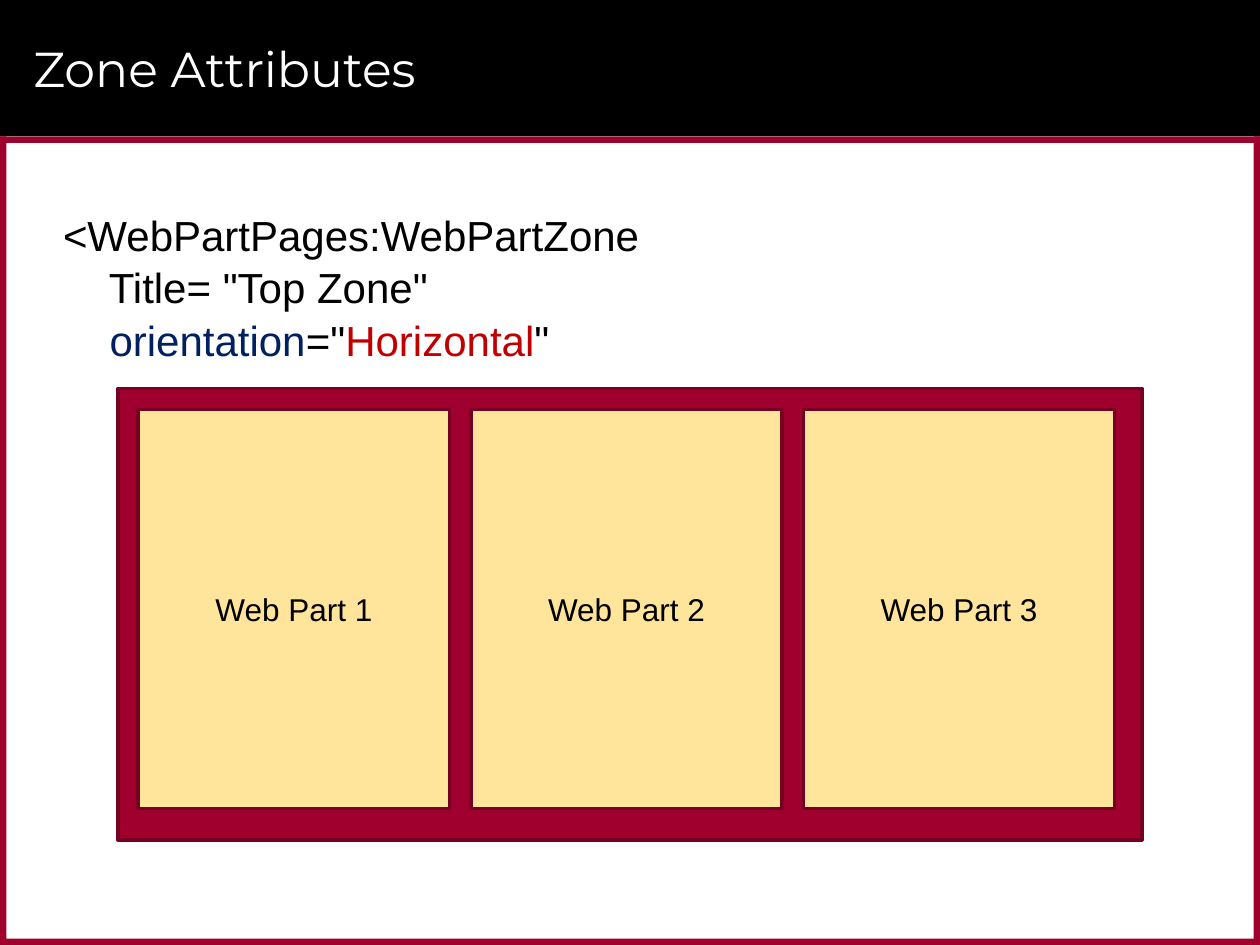
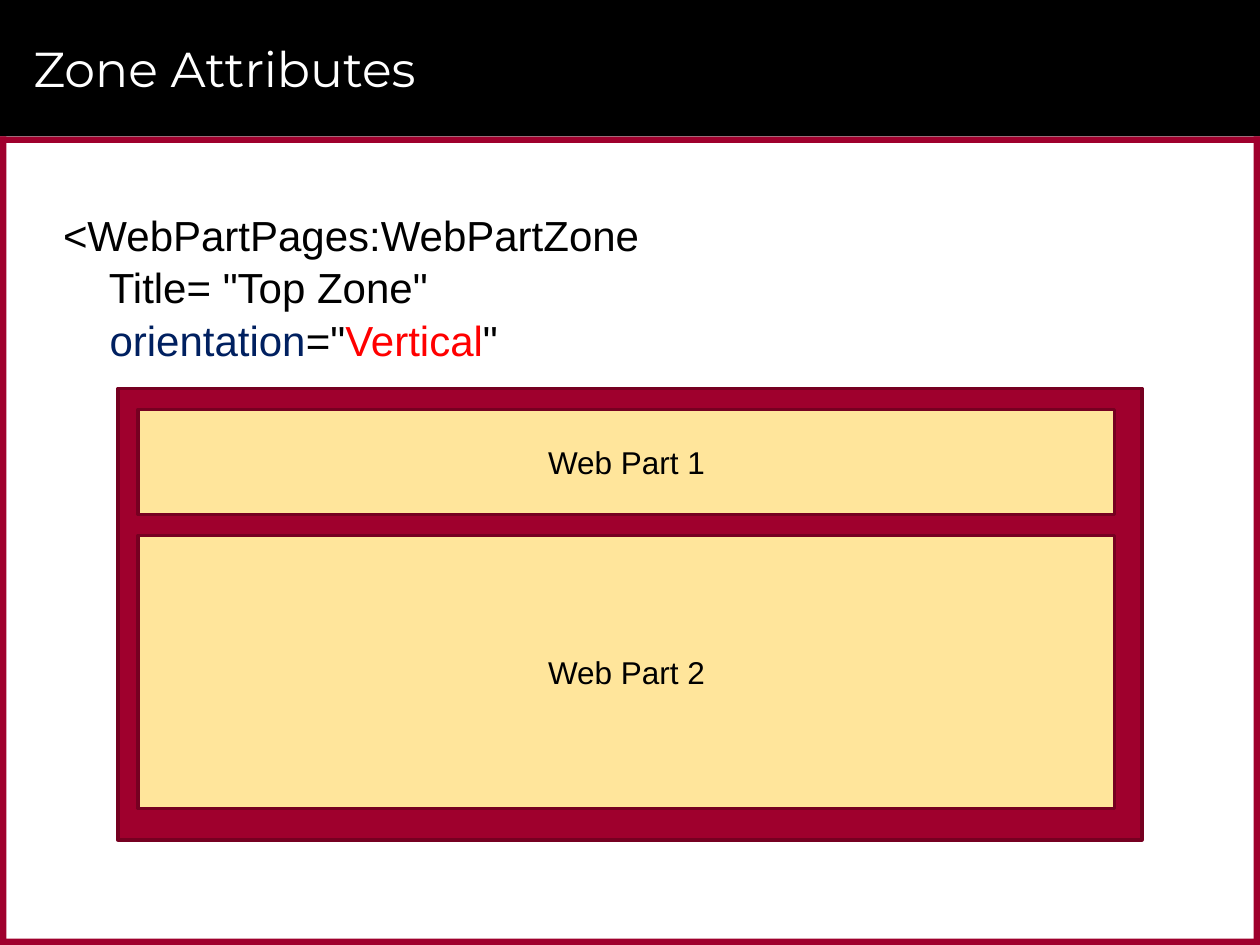
from pptx import Presentation
from pptx.dml.color import RGBColor
from pptx.enum import shapes, text
from pptx.util import Pt

# Shared look
BLACK, WHITE = "000000", "FFFFFF"
CRIMSON, DARK_CRIMSON, CREAM = "9F002D", "760021", "FFE59B"
NAVY, DARK_RED, RED = "002060", "C00000", "FF0000"
TITLE_FONT, BODY_FONT = "Montserrat", "Arial"

# Shared measures, in points
SLIDE_W, SLIDE_H = 720, 540
HEADER_H, BORDER = 78, 3.6
ZONE = (67.5, 222, 585, 258)
PARTS_AREA = (79, 234, 558, 228)
PART_GAP = 12


def color(hex_code):
    return RGBColor.from_string(hex_code)


def set_values(target, values):
    for name, value in values.items():
        setattr(target, name, value)


def add_run(paragraph, words, size, font, hex_code):
    run = paragraph.add_run()
    run.text = words
    set_values(run.font, {"size": Pt(size), "name": font})
    run.font.color.rgb = color(hex_code)


def add_box(slide, bounds, fill, outline=None):
    box = slide.shapes.add_shape(shapes.MSO_SHAPE.RECTANGLE, *map(Pt, bounds))
    box.shadow.inherit = False
    box.fill.solid()
    box.fill.fore_color.rgb = color(fill)
    if outline:
        box.line.color.rgb = color(outline)
        box.line.width = Pt(2)
    else:
        box.line.fill.background()
    return box


def add_text_area(slide, bounds, frame_format):
    frame = slide.shapes.add_textbox(*map(Pt, bounds)).text_frame
    set_values(frame, {"word_wrap": True, **frame_format})
    return frame.paragraphs[0]


def add_frame(slide, title):
    # Header band and the border around the content
    add_box(slide, (0, 0, SLIDE_W, HEADER_H), BLACK)
    content_h = SLIDE_H - HEADER_H
    for top in (HEADER_H, SLIDE_H - BORDER):
        add_box(slide, (0, top, SLIDE_W, BORDER), CRIMSON)
    for left in (0, SLIDE_W - BORDER):
        add_box(slide, (left, HEADER_H, BORDER, content_h), CRIMSON)
    heading = add_text_area(slide, (12, 6, 678, 66),
                            {"vertical_anchor": text.MSO_ANCHOR.MIDDLE})
    add_run(heading, title, 28, TITLE_FONT, WHITE)


def add_zone_code(slide, orientation, value_color):
    code = add_text_area(slide, (30, 114.5, 660, 100), {"margin_left": Pt(6)})
    set_values(code, {"line_spacing": 1.05, "space_after": Pt(2)})
    for line in ("<WebPartPages:WebPartZone", '    Title= "Top Zone"'):
        add_run(code, line, 24, BODY_FONT, BLACK)
        code.add_line_break()
    for words, hex_code in (("    orientation", NAVY), ('="', BLACK),
                            (orientation, value_color), ('"', BLACK)):
        add_run(code, words, 24, BODY_FONT, hex_code)


def add_web_part(slide, bounds, number):
    part = add_box(slide, bounds, CREAM, DARK_CRIMSON)
    part.text_frame.vertical_anchor = text.MSO_ANCHOR.MIDDLE
    label = part.text_frame.paragraphs[0]
    label.alignment = text.PP_ALIGN.CENTER
    add_run(label, f"Web Part {number}", 18, BODY_FONT, BLACK)


def add_zone(slide, orientation, shares):
    # Web parts split the area along one axis, in the given shares
    add_box(slide, ZONE, CRIMSON, DARK_CRIMSON)
    axis = 0 if orientation == "Horizontal" else 1
    bounds = list(PARTS_AREA)
    free = PARTS_AREA[axis + 2] - PART_GAP * (len(shares) - 1)
    for number, share in enumerate(shares, 1):
        bounds[axis + 2] = free * share / sum(shares)
        add_web_part(slide, bounds, number)
        bounds[axis] += bounds[axis + 2] + PART_GAP


def main():
    deck = Presentation()
    set_values(deck, {"slide_width": Pt(SLIDE_W), "slide_height": Pt(SLIDE_H)})
    blank = deck.slide_layouts[6]
    for orientation, value_color, shares in (
            ("Horizontal", DARK_RED, (1, 1, 1)),
            ("Vertical", RED, (5, 13))):
        slide = deck.slides.add_slide(blank)
        add_frame(slide, "Zone Attributes")
        add_zone_code(slide, orientation, value_color)
        add_zone(slide, orientation, shares)
    deck.save("out.pptx")


if __name__ == "__main__":
    main()
